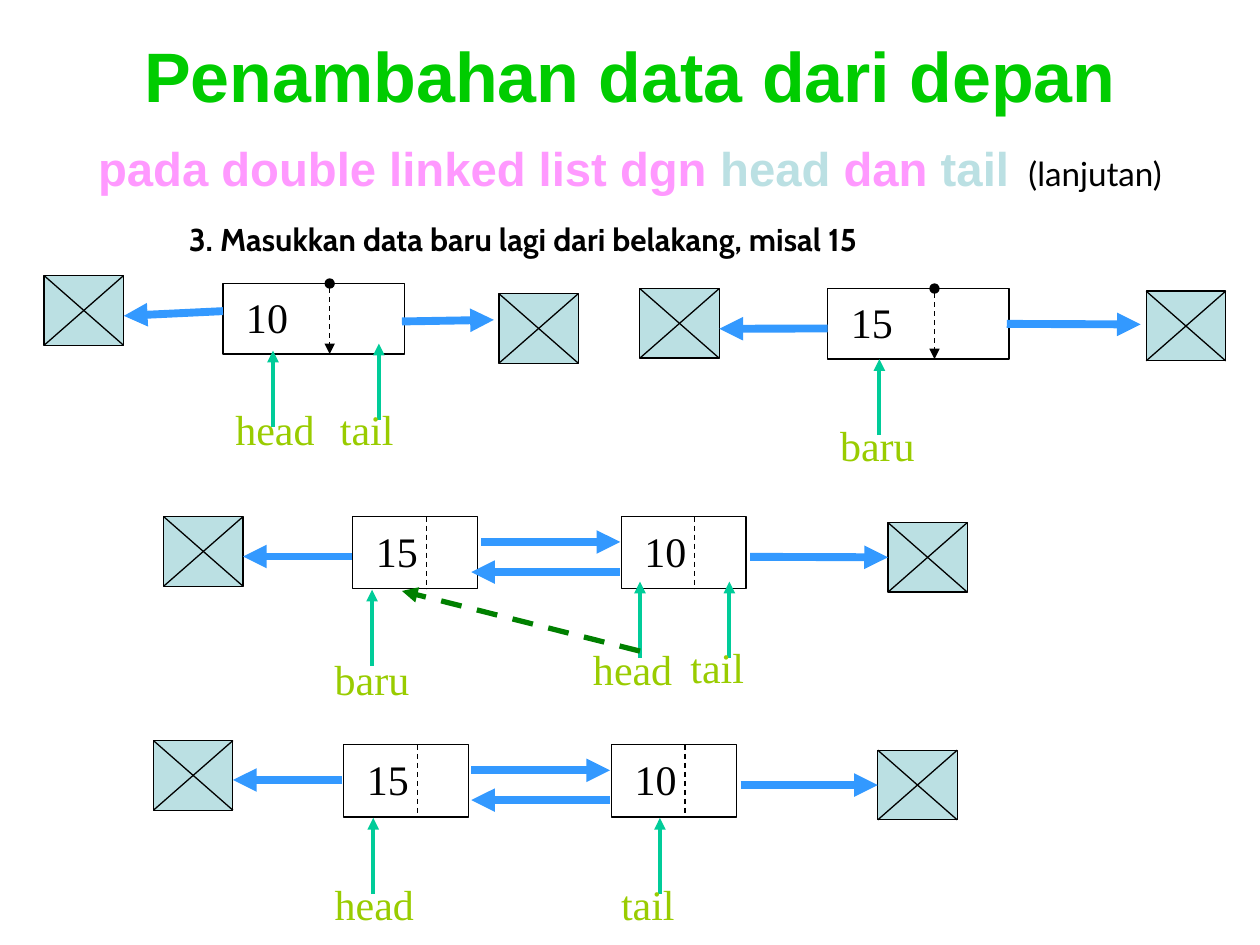
"""Build a slide on adding nodes to a double linked list with head and tail."""
import pptx
import pptx.dml.color
import pptx.enum.dml
import pptx.enum.shapes
import pptx.enum.text
import pptx.util
from lxml import etree

Pt = pptx.util.Pt
Color = pptx.dml.color.RGBColor
Shape = pptx.enum.shapes.MSO_SHAPE
Align = pptx.enum.text.PP_ALIGN
Anchor = pptx.enum.text.MSO_ANCHOR
DASH = pptx.enum.dml.MSO_LINE.DASH
DRAWING = "http://schemas.openxmlformats.org/drawingml/2006/main"

BLACK = Color(0x00, 0x00, 0x00)
WHITE = Color(0xFF, 0xFF, 0xFF)
GREEN = Color(0x00, 0xCC, 0x00)
PINK = Color(0xFF, 0x99, 0xFF)
PALE = Color(0xBB, 0xE0, 0xE3)
BLUE = Color(0x33, 0x99, 0xFF)
TEAL = Color(0x00, 0xCC, 0x99)
LIME = Color(0x99, 0xCC, 0x00)
DARK_GREEN = Color(0x00, 0x80, 0x00)

SERIF = "Times New Roman"
TITLE = [
    [("Penambahan data dari depan", 40, "Arial", GREEN, True)],
    [
        ("pada double linked list dgn ", 27, "Arial", PINK, True),
        ("head", 27, "Arial", PALE, True),
        (" dan", 27, "Arial", PINK, True),
        (" tail", 27, "Arial", PALE, True),
        (" ", 40, "Arial", BLACK, True),
        ("(lanjutan)", 19, "Lato", BLACK, False),
    ],
]
STEP = [[("3. Masukkan data baru lagi dari belakang, misal 15", 18, "Cabin", BLACK, True)]]

WIDE = {"size": (103.7, 40.3), "divider": 61, "head": "oval", "tail": "triangle"}
NARROW = {"size": (71.3, 41.3), "divider": 42, "head": None, "tail": None}
NODES = [
    ("10", 127.4, 162, WIDE),
    ("15", 473, 164.9, WIDE),
    ("15", 201.6, 295.2, NARROW),
    ("10", 355, 295.2, NARROW),
    ("15", 196.4, 425.6, NARROW),
    ("10", 349.4, 425.6, NARROW),
]

NULL_SIZE = (45.4, 39.8)
NULLS = {
    "first left": (25.2, 157.5),
    "first right": (285.1, 167.8),
    "new left": (365.6, 164.9),
    "new right": (655, 166.4),
    "joined left": (93.5, 295.2),
    "joined right": (507.4, 298.6),
    "final left": (87.7, 423.2),
    "final right": (501.6, 428.7),
}

LINKS = [
    ((127.4, 177.8), (70.8, 180.5), None),
    ((229.7, 183.7), (282.2, 182.8), None),
    ((473, 187.7), (411.1, 187.9), None),
    ((575.3, 185.1), (651.8, 185.4), None),
    ((201, 318), (138.9, 318), None),
    ((274.9, 309.7), (354.4, 309.7), None),
    ((354.2, 326.9), (269.3, 326.9), None),
    ((428.6, 318.2), (507.4, 318.5), "joined right"),
    ((195.6, 445.7), (133.2, 445.7), None),
    ((269.3, 440.2), (348.6, 440.2), None),
    ((348.5, 457.2), (269.3, 457.2), None),
    ((423.2, 448.6), (501.6, 448.6), "final right"),
]

POINTER_LENGTH = 43.5
LABEL_WIDTHS = {"head": 61, "tail": 47, "baru": 58}
POINTERS = [
    ("head", (156, 200.4), (127.4, 229)),
    ("tail", (216.5, 196.4), (187.2, 229)),
    ("baru", (502.5, 205.2), (473, 238.3)),
    ("baru", (212.6, 337), (184.2, 372.2)),
    ("head", (365.7, 332.4), (331.8, 366.5)),
    ("tail", (416.8, 332.4), (387.5, 365)),
    ("head", (213.3, 467.4), (184.2, 500.6)),
    ("tail", (377.1, 467.4), (347.8, 500.6)),
]
HEAD_MOVE = ((365.7, 372.1), (229.7, 337.7))


def write(box, lines, align=Align.LEFT, wrap=True, anchor=Anchor.TOP, spacing=None):
    frame = box.text_frame
    frame.word_wrap = wrap
    frame.vertical_anchor = anchor
    para = frame.paragraphs[0]
    para.alignment = align
    para.line_spacing = spacing
    for number, line in enumerate(lines):
        if number:
            para.add_line_break()
        for text, size, font, color, bold in line:
            span = para.add_run()
            span.text = text
            span.font.size = Pt(size)
            span.font.name = font
            span.font.color.rgb = color
            span.font.bold = bold


def add_text(page, place, lines, **options):
    box = page.shapes.add_textbox(*map(Pt, place))
    write(box, lines, **options)
    return box


def add_box(page, left, top, size, fill):
    box = page.shapes.add_shape(Shape.RECTANGLE, *map(Pt, (left, top, *size)))
    box.shadow.inherit = False
    box.fill.solid()
    box.fill.fore_color.rgb = fill
    box.line.color.rgb = BLACK
    box.line.width = Pt(0.75)
    return box


def add_line(page, start, end, color=BLACK, width=0.75, dash=None, head=None, tail=None):
    straight = pptx.enum.shapes.MSO_CONNECTOR.STRAIGHT
    line = page.shapes.add_connector(straight, *map(Pt, (*start, *end)))
    line.line.color.rgb = color
    line.line.width = Pt(width)
    line.line.dash_style = dash
    outline = line.line._get_or_add_ln()
    for tag, kind in (("headEnd", head), ("tailEnd", tail)):
        if kind:
            etree.SubElement(outline, f"{{{DRAWING}}}{tag}", type=kind)
    etree.SubElement(line._element.spPr, f"{{{DRAWING}}}effectLst")
    return line


def add_node(page, value, left, top, style):
    box = add_box(page, left, top, style["size"], WHITE)
    box.text_frame.margin_left = Pt(13.2)
    write(box, [[(value, 24, SERIF, BLACK, False)]], anchor=Anchor.MIDDLE, spacing=0.95)
    middle = left + style["divider"]
    bottom = top + style["size"][1]
    add_line(page, (middle, top), (middle, bottom), dash=DASH,
             head=style["head"], tail=style["tail"])


def add_null(page, left, top):
    box = add_box(page, left, top, NULL_SIZE, PALE)
    right, bottom = left + NULL_SIZE[0], top + NULL_SIZE[1]
    add_line(page, (left, top), (right, bottom))
    add_line(page, (right, top), (left, bottom))
    return box


def main():
    deck = pptx.Presentation()
    deck.slide_width, deck.slide_height = Pt(720), Pt(540)
    page = deck.slides.add_slide(deck.slide_layouts[6])
    add_text(page, (36, 21.6, 648, 90), TITLE, align=Align.CENTER, anchor=Anchor.MIDDLE)
    add_text(page, (100.8, 122.4, 470.9, 28.8), STEP, wrap=False)
    for node in NODES:
        add_node(page, *node)
    nulls = {name: add_null(page, *corner) for name, corner in NULLS.items()}
    for start, end, target in LINKS:
        link = add_line(page, start, end, BLUE, 4.5, tail="triangle")
        if target:
            link.end_connect(nulls[target], 1)
    for name, (x, y), corner in POINTERS:
        add_line(page, (x, y + POINTER_LENGTH), (x, y), TEAL, 2.25, tail="triangle")
        label = add_text(page, (*corner, LABEL_WIDTHS[name], 34.6),
                         [[(name, 24, SERIF, LIME, False)]], wrap=False, spacing=0.95)
        label.text_frame.margin_right = 0
    add_line(page, *HEAD_MOVE, DARK_GREEN, 3, dash=DASH, tail="triangle")
    deck.save("out.pptx")


if __name__ == "__main__":
    main()
